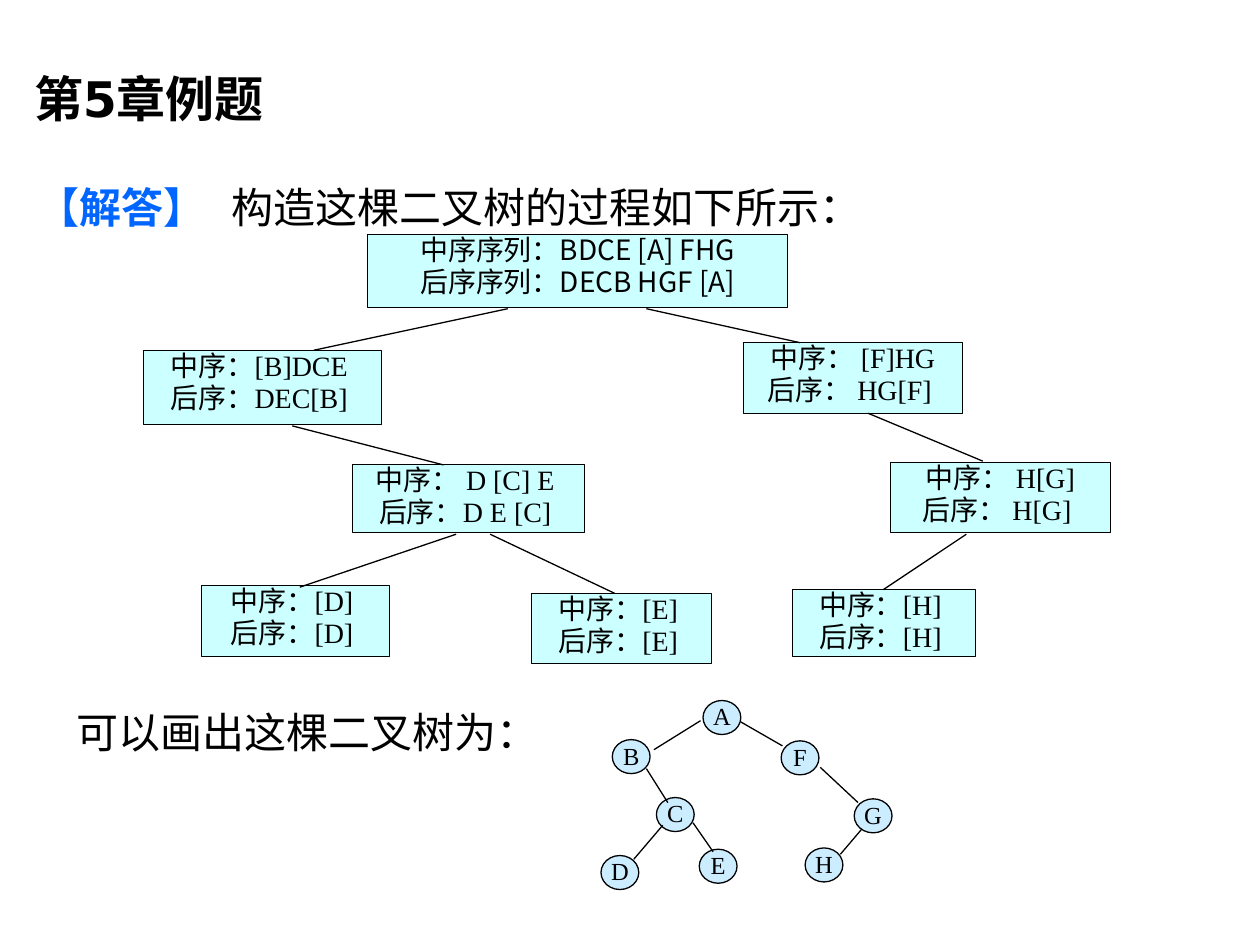
from dataclasses import dataclass

from lxml import etree
from pptx import Presentation
from pptx.dml.color import RGBColor
from pptx.enum.shapes import MSO_CONNECTOR, MSO_SHAPE
from pptx.enum.text import MSO_ANCHOR, MSO_AUTO_SIZE, PP_ALIGN
from pptx.oxml.ns import qn
from pptx.util import Emu, Pt

RECTANGLE, OVAL = MSO_SHAPE.RECTANGLE, MSO_SHAPE.OVAL
STRAIGHT = MSO_CONNECTOR.STRAIGHT
TOP, MIDDLE = MSO_ANCHOR.TOP, MSO_ANCHOR.MIDDLE
LEFT, CENTER = PP_ALIGN.LEFT, PP_ALIGN.CENTER
PX = 9144  # 100 px to the inch


@dataclass(frozen=True)
class Theme:
    black: RGBColor = RGBColor(0x00, 0x00, 0x00)
    accent: RGBColor = RGBColor(0x00, 0x66, 0xFF)
    box_fill: RGBColor = RGBColor(0xCC, 0xFF, 0xFF)
    node_fill: RGBColor = RGBColor(0xCC, 0xEC, 0xFF)
    cjk: str = "Noto Sans CJK SC"
    serif: str = "Times New Roman"
    sans: str = "Arial"
    heading: str = "DejaVu Sans"
    title_size: int = 28
    body_size: int = 24
    box_size: int = 16
    node_size: int = 14
    box_line: float = 0.5
    thin_line: float = 0.75


theme = Theme()


def add_run(paragraph, text, font_name, size, color=theme.black, bold=False):
    run = paragraph.add_run()
    run.text = text
    run.font.name = font_name
    run.font.size = Pt(size)
    run.font.bold = bold
    run.font.color.rgb = color
    east_asian = etree.SubElement(run.font._element, qn("a:ea"))
    east_asian.set("typeface", theme.cjk)


def add_labelled_shape(kind, bounds, fill, line_width, lines, font_name, size, anchor):
    shape = slide.shapes.add_shape(kind, *[Emu(value * PX) for value in bounds])
    shape.shadow.inherit = False
    shape.fill.solid()
    shape.fill.fore_color.rgb = fill
    shape.line.color.rgb = theme.black
    shape.line.width = Pt(line_width)
    frame = shape.text_frame
    frame.margin_left = frame.margin_right = frame.margin_top = frame.margin_bottom = 0
    frame.vertical_anchor = anchor
    frame.word_wrap = kind == RECTANGLE
    for index, line in enumerate(lines):
        paragraph = frame.add_paragraph() if index else frame.paragraphs[0]
        paragraph.alignment = CENTER
        paragraph.line_spacing = 0.96
        add_run(paragraph, line, font_name, size)


presentation = Presentation()
presentation.slide_width = Emu(1000 * PX)
presentation.slide_height = Emu(750 * PX)
slide = presentation.slides.add_slide(presentation.slide_layouts[5])

# Title
title = slide.shapes.title
title.left, title.top, title.width, title.height = [
    Emu(value * PX) for value in (17, 47, 223, 62)]
title.text_frame.auto_size = MSO_AUTO_SIZE.NONE
title.text_frame.vertical_anchor = MIDDLE
title.text_frame.paragraphs[0].alignment = LEFT
add_run(title.text_frame.paragraphs[0], "第5章例题", theme.heading,
        theme.title_size, bold=True)

# Body lines: bounds and runs of text, font, colour, bold
body_lines = [
    ((20, 139, 933, 50), [
        ("【解答】\t", theme.sans, theme.accent, True),
        ("构造这棵二叉树的过程如下所示", theme.cjk, theme.black, False),
        ("：", theme.serif, theme.black, False)]),
    ((51, 556, 383, 50), [
        ("可以画出这棵二叉树为：", theme.cjk, theme.black, False)]),
]
for bounds, runs in body_lines:
    text_box = slide.shapes.add_textbox(*[Emu(value * PX) for value in bounds])
    text_box.text_frame.word_wrap = True
    paragraph = text_box.text_frame.paragraphs[0]
    if "\t" in runs[0][0]:
        tab_list = etree.SubElement(paragraph._p.get_or_add_pPr(), qn("a:tabLst"))
        etree.SubElement(tab_list, qn("a:tab"), pos=str(154 * PX), algn="l")
    for text, font_name, color, bold in runs:
        add_run(paragraph, text, font_name, theme.body_size, color, bold)

# Traversal boxes: bounds, in-order line, post-order line
add_labelled_shape(RECTANGLE, (292, 186, 333, 58), theme.box_fill, theme.box_line,
                   ["中序序列：BDCE [A] FHG", "后序序列：DECB HGF [A]"],
                   theme.cjk, theme.box_size, TOP)
sequence_boxes = [
    ((114, 278, 189, 59), "[B]DCE ", "DEC[B] "),
    ((590, 272, 174, 56), " [F]HG", " HG[F] "),
    ((280, 369, 184, 54), " D [C] E ", "D E [C] "),
    ((707, 367, 174, 56), " H[G]", " H[G] "),
    ((160, 465, 149, 56), "[D] ", "[D] "),
    ((422, 471, 143, 56), "[E] ", "[E] "),
    ((629, 468, 145, 53), "[H] ", "[H] "),
]
for bounds, in_order, post_order in sequence_boxes:
    add_labelled_shape(RECTANGLE, bounds, theme.box_fill, theme.box_line,
                       ["中序：" + in_order, "后序：" + post_order],
                       theme.serif, theme.box_size, TOP)

# Nodes of the finished tree: left and top
tree_nodes = {
    "A": (558, 556), "B": (486, 587), "F": (620, 588), "C": (521, 633),
    "G": (678, 634), "D": (477, 679), "E": (555, 674), "H": (639, 673),
}
for letter, (left, top) in tree_nodes.items():
    add_labelled_shape(OVAL, (left, top, 30, 27), theme.node_fill, theme.thin_line,
                       [letter], theme.serif, theme.node_size, MIDDLE)

# Branches, each from parent to child
box_branches = [
    (403, 245, 249, 278), (513, 245, 635, 272), (232, 338, 352, 369),
    (362, 424, 238, 466), (389, 424, 488, 471), (689, 328, 780, 366),
    (767, 424, 701, 468),
]
node_branches = [
    (556, 572, 519, 595), (588, 573, 621, 592), (513, 610, 530, 637),
    (550, 653, 566, 676), (526, 655, 503, 682), (651, 609, 681, 637),
    (684, 658, 667, 678),
]
for ends in box_branches + node_branches:
    branch = slide.shapes.add_connector(STRAIGHT, *[Emu(value * PX) for value in ends])
    branch.line.color.rgb = theme.black
    branch.line.width = Pt(theme.thin_line)
    etree.SubElement(branch._element.spPr, qn("a:effectLst"))

presentation.save("out.pptx")
